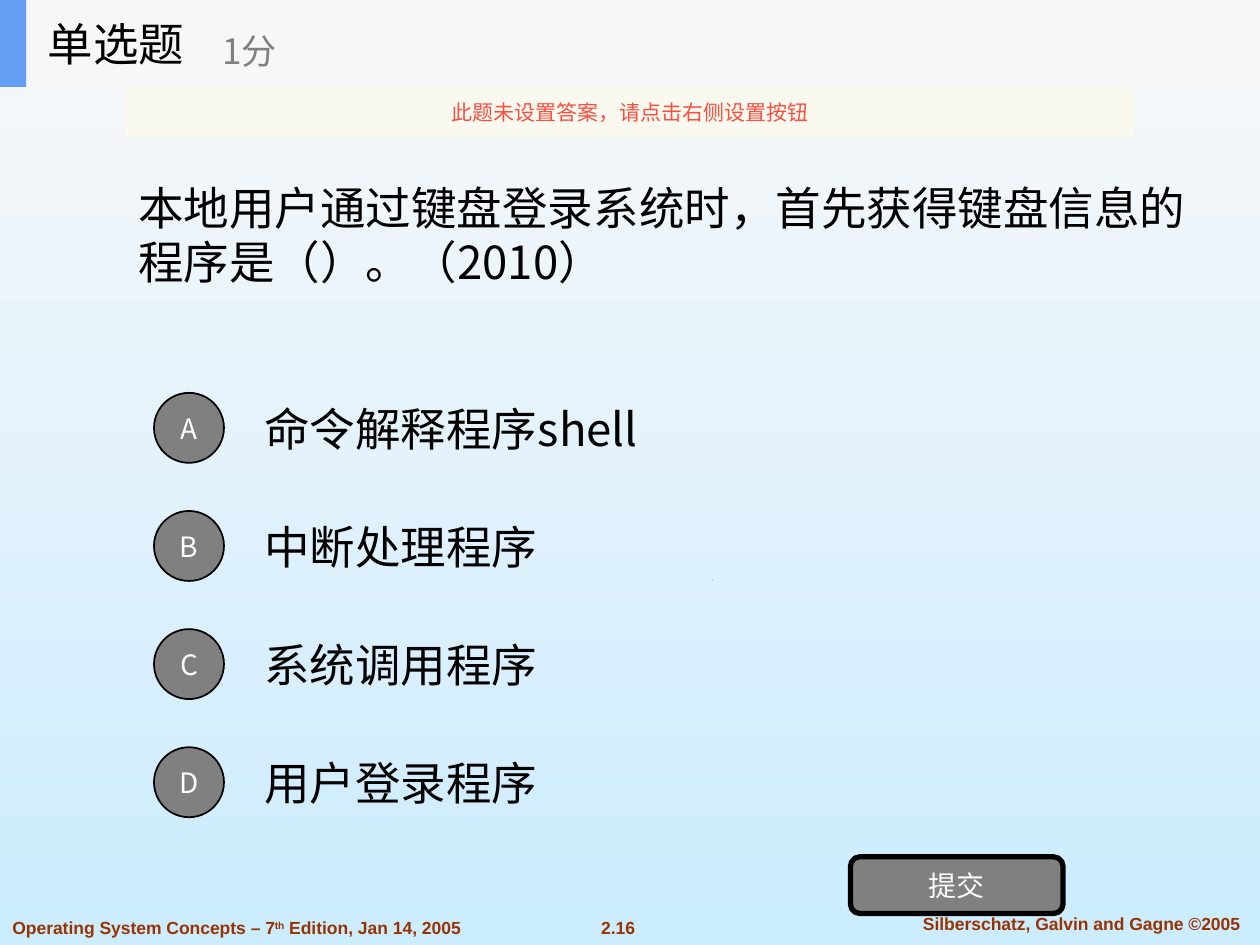
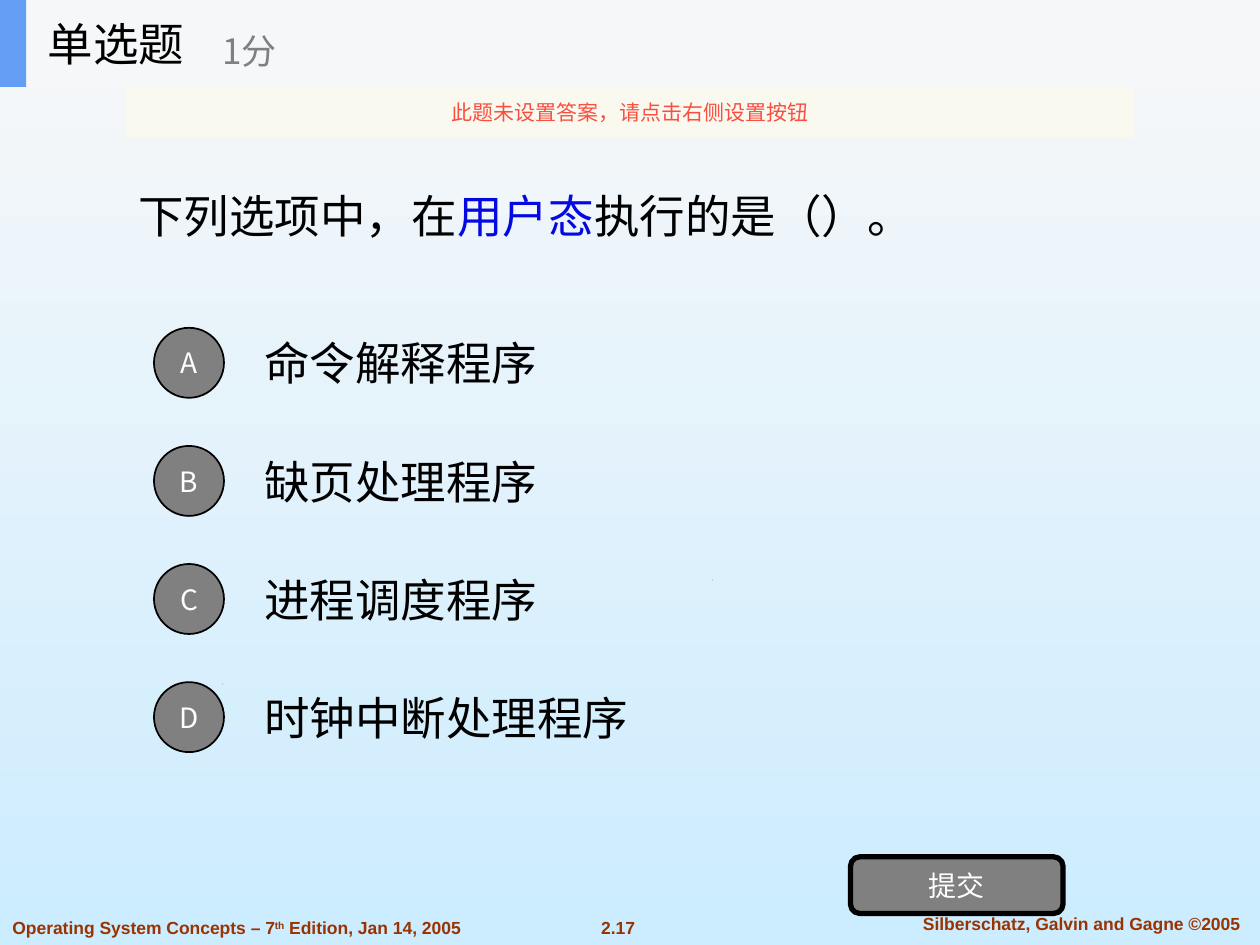
import pptx
import pptx.util
import pptx.dml.color
import pptx.enum.shapes
import pptx.enum.text
import pptx.oxml.ns
from lxml import etree

Pt = pptx.util.Pt
RGB = pptx.dml.color.RGBColor
SHAPE = pptx.enum.shapes.MSO_SHAPE
ALIGN = pptx.enum.text.PP_ALIGN
ANCHOR = pptx.enum.text.MSO_ANCHOR
qn = pptx.oxml.ns.qn

BLACK = RGB(0x00, 0x00, 0x00)
WHITE = RGB(0xFF, 0xFF, 0xFF)
GRAY = RGB(0x80, 0x80, 0x80)
SKY_TOP = RGB(0xF8, 0xF8, 0xF8)
SKY_BOTTOM = RGB(0xCC, 0xEC, 0xFF)
HEADER = RGB(0xF6, 0xF7, 0xF8)
ACCENT = RGB(0x63, 0x9E, 0xF4)
NOTICE = RGB(0xFB, 0xFA, 0xEF)
NOTICE_TEXT = RGB(0xF8, 0x4F, 0x41)
KEYWORD = RGB(0x04, 0x09, 0xE2)
FOOTER = RGB(0x99, 0x33, 0x00)

CJK = "Noto Sans CJK SC"
LATIN = "Arial"
HEADER_H = 49.7
OPTION_STEP = 67.5
BADGE = 40
LABEL_H = 50


def write(sp, parts, size, color=BLACK, font=CJK, align=ALIGN.LEFT,
          anchor=ANCHOR.MIDDLE, bold=False):
    tf = sp.text_frame
    tf.word_wrap = True
    tf.auto_size = pptx.enum.text.MSO_AUTO_SIZE.NONE
    tf.vertical_anchor = anchor
    p = tf.paragraphs[0]
    p.alignment = align
    p.font.size = Pt(size)
    p.font.bold = bold
    p.font.name = font
    p.font.color.rgb = color
    etree.SubElement(p.font._element, qn("a:ea"), typeface=font)
    for text in [parts] if isinstance(parts, str) else parts:
        p.add_run().text = text
    return p


def add_text(s, box, parts, size, **style):
    sp = s.shapes.add_textbox(*map(Pt, box))
    return write(sp, parts, size, **style)


def add_block(s, kind, box, fill, line_width=0):
    sp = s.shapes.add_shape(kind, *map(Pt, box))
    sp.shadow.inherit = False
    sp.fill.solid()
    sp.fill.fore_color.rgb = fill
    if line_width:
        sp.line.color.rgb = BLACK
        sp.line.width = Pt(line_width)
    else:
        sp.line.fill.background()
    return sp


def add_button(s, kind, box, text, line_width):
    sp = add_block(s, kind, box, GRAY, line_width)
    tf = sp.text_frame
    tf.margin_left = tf.margin_right = tf.margin_top = tf.margin_bottom = 0
    write(sp, text, 16, color=WHITE, align=ALIGN.CENTER)


def add_speck(s, x, y):
    fb = s.shapes.build_freeform(Pt(x), Pt(y + 0.5))
    fb.add_line_segments([(Pt(x + 0.5), Pt(y)), (Pt(x + 0.3), Pt(y + 0.5))])
    sp = fb.convert_to_shape()
    sp.shadow.inherit = False
    sp.fill.solid()
    sp.fill.fore_color.rgb = BLACK
    sp.line.fill.background()


def add_background(s):
    fill = s.background.fill
    fill.gradient()
    fill.gradient_angle = 270
    for stop, color in zip(fill.gradient_stops, (SKY_TOP, SKY_BOTTOM)):
        stop.color.rgb = color


def add_footer(s, number):
    style = dict(color=FOOTER, font=LATIN, anchor=ANCHOR.TOP, bold=True)
    add_text(s, (334, 520.5, 38.4, 19.4), number, 10, align=ALIGN.CENTER, **style)
    add_text(s, (511, 518.4, 214, 19.4), "Silberschatz, Galvin and Gagne ©2005", 10,
             align=ALIGN.CENTER, **style)
    p = add_text(s, (0, 520.5, 305, 19.4),
                 ["Operating System Concepts – 7", "th", " Edition, Jan 14, 2005"],
                 10, **style)
    p.runs[1].font._element.set("baseline", "30000")


def add_header(s):
    add_block(s, SHAPE.RECTANGLE, (0, 0, 720, HEADER_H), HEADER)
    add_block(s, SHAPE.RECTANGLE, (0, 0, 15, HEADER_H), ACCENT)
    title = s.shapes.title
    title.left, title.top, title.width, title.height = map(Pt, (20, 0, 100, HEADER_H))
    write(title, "单选题", 26)
    s.shapes.element.append(title.element)
    add_text(s, (120, 8.6, 180, 40.3), "1分", 20, color=GRAY)


def add_notice(s):
    sp = add_block(s, SHAPE.RECTANGLE, (72, HEADER_H, 576, 29), NOTICE)
    rgb = sp.element.spPr.find(qn("a:solidFill")).find(qn("a:srgbClr"))
    etree.SubElement(rgb, qn("a:alpha"), val="90000")
    write(sp, "此题未设置答案，请点击右侧设置按钮", 12, color=NOTICE_TEXT,
          align=ALIGN.CENTER)


def add_options(s, top, options):
    for i, (letter, option) in enumerate(zip("ABCD", options)):
        y = top + i * OPTION_STEP
        add_text(s, (144, y, 504, LABEL_H), option, 26)
        add_button(s, SHAPE.OVAL, (88, y + (LABEL_H - BADGE) / 2, BADGE, BADGE), letter, 1)


def add_question_slide(prs, number, question_box, question, options_top, options):
    s = prs.slides.add_slide(prs.slide_layouts[5])
    add_background(s)
    add_footer(s, number)
    add_speck(s, 406.8, 331.2)
    add_speck(s, 126.8, 390.6)
    p = add_text(s, question_box, question, 26)
    add_options(s, options_top, options)
    add_button(s, SHAPE.ROUNDED_RECTANGLE, (486, 489.6, 121.5, 32.4), "提交", 3)
    add_header(s)
    add_notice(s)
    return p


def main():
    prs = pptx.Presentation()
    prs.slide_width, prs.slide_height = Pt(720), Pt(540)
    add_question_slide(
        prs, "2.16", (72, HEADER_H, 623.5, 168.5),
        "本地用户通过键盘登录系统时，首先获得键盘信息的程序是（）。（2010）",
        219.5, ["命令解释程序shell", "中断处理程序", "系统调用程序", "用户登录程序"])
    p = add_question_slide(
        prs, "2.17", (72, 78.5, 576, 89.3),
        ["下列选项中，在", "用户态", "执行的是（）。"],
        182.3, ["命令解释程序", "缺页处理程序", "进程调度程序", "时钟中断处理程序"])
    p.runs[1].font.color.rgb = KEYWORD
    prs.save("out.pptx")


if __name__ == "__main__":
    main()
